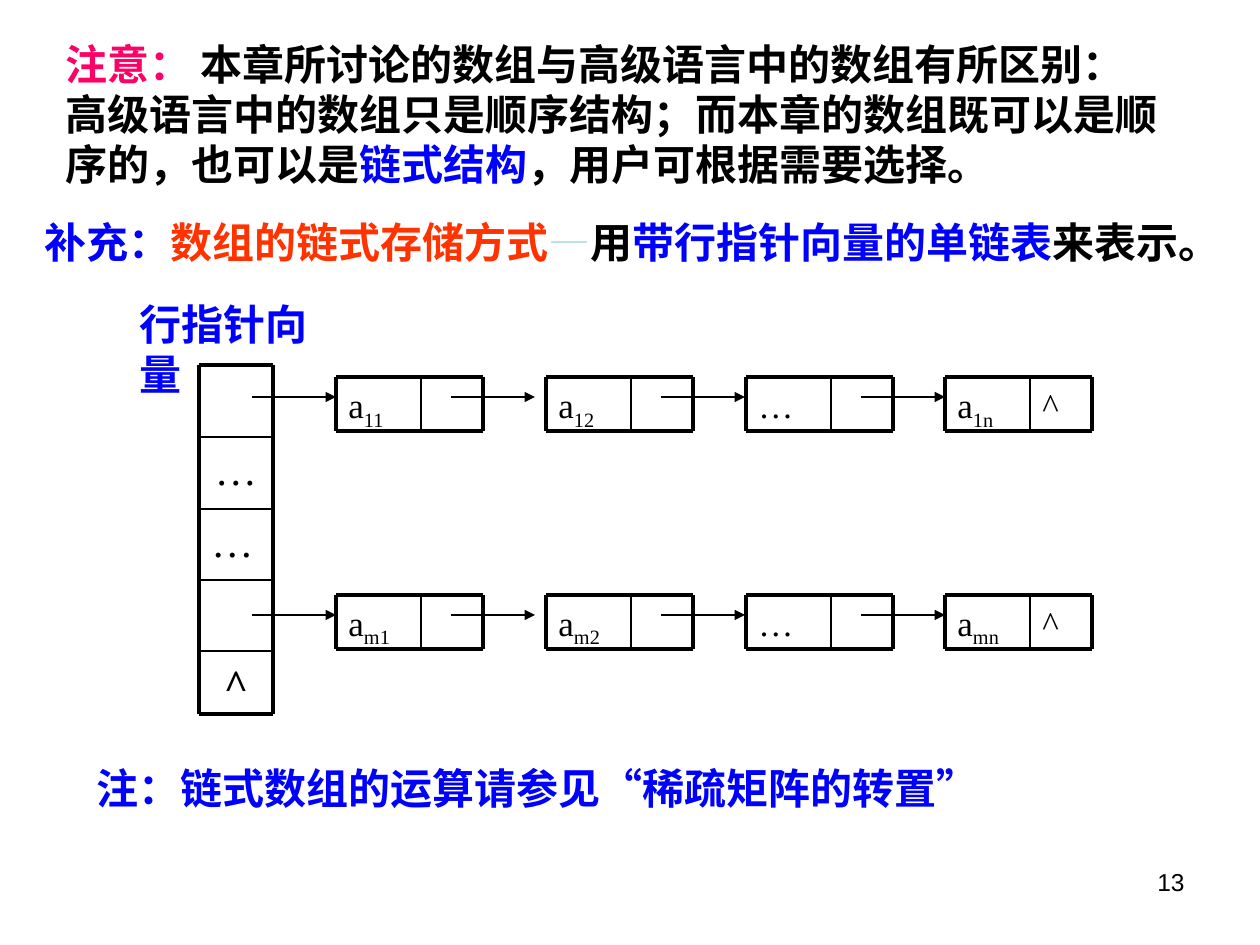
"""Build the slide on arrays stored as linked rows under a vector of row pointers."""
from dataclasses import dataclass
from itertools import pairwise

from lxml.etree import SubElement as Sub
from pptx import Presentation as Deck
from pptx.dml.color import RGBColor as Rgb
from pptx.enum.shapes import MSO_CONNECTOR as Conn
from pptx.enum.text import MSO_AUTO_SIZE as Fit, PP_ALIGN as Align
from pptx.oxml.ns import qn
from pptx.util import Emu, Pt


@dataclass
class Theme:
    ink: str = "000000"
    blue: str = "0000FF"
    pink: str = "FF0066"
    red: str = "FF3300"
    pale: str = "BBE0E3"
    serif: str = "Times New Roman"
    sans: str = "Arial"
    head: int = 24
    cell: int = 20
    page: int = 14
    thick: float = 2.25
    thin: float = 1
    link: float = 0.75


look = Theme()
scale = 914400 / 126

deck = Deck()
deck.slide_width, deck.slide_height = Emu(round(1260 * scale)), Emu(round(945 * scale))
slide = deck.slides.add_slide(deck.slide_layouts[6])


def write(area, lines, size, font=look.serif, bold=False, align=Align.LEFT, wrap=True, grow=False):
    box = slide.shapes.add_textbox(*(Emu(round(v * scale)) for v in area))
    frame = box.text_frame
    frame.word_wrap = wrap
    frame.auto_size = Fit.SHAPE_TO_FIT_TEXT if grow else Fit.NONE
    for i, line in enumerate(lines):
        para = frame.add_paragraph() if i else frame.paragraphs[0]
        para.alignment = align
        for text, tint, *base in line:
            run = para.add_run()
            run.text = text
            run.font.size = Pt(size)
            run.font.name = font
            run.font.bold = bold
            run.font.color.rgb = Rgb.from_string(tint)
            if base:
                run.font._element.set("baseline", str(base[0]))


def draw(x1, y1, x2, y2, width, arrow=False):
    ends = (Emu(round(v * scale)) for v in (x1, y1, x2, y2))
    line = slide.shapes.add_connector(Conn.STRAIGHT, *ends)
    line.line.width = Pt(width)
    line.line.color.rgb = Rgb.from_string(look.ink)
    if arrow:
        Sub(line.line._get_or_add_ln(), qn("a:tailEnd"), type="triangle")
    Sub(line._element.spPr, qn("a:effectLst"))


# vector = left, right and the heights of its rules
left, right = 199, 273
rungs = [365, 437, 509, 580, 651, 714]
marks = ["", "…", "…", "", "^"]
for (top, low), mark in zip(pairwise(rungs), marks):
    if mark:
        side = Align.LEFT if top == rungs[2] else Align.CENTER
        write((left, top, right - left, low - top), [[(mark, look.ink)]],
              look.head, bold=mark == "^", align=side)
for y in rungs:
    draw(left, y, right, y, look.thick if y in (rungs[0], rungs[-1]) else look.thin)
for x in (left, right):
    draw(x, rungs[0], x, rungs[-1], look.thick)
write((127, 292, 234, 63), [[("行指针向量", look.blue)]], look.head,
      bold=True, wrap=False, grow=True)

wide, split, high = 147, 85, 54
reach, drop = 84, 20
nodes = [336, 546, 746, 945]
for top, row in ((377, "1"), (595, "m")):
    low = top + high
    draw(252, top + drop, 252 + reach, top + drop, look.link, arrow=True)
    for x, col in zip(nodes, ("1", "2", "", "n")):
        name = [("a", look.ink), (row + col, look.ink, -25000)] if col else [("…", look.ink)]
        write((x, top, split, high), [name], look.cell)
        for y in (top, low):
            draw(x, y, x + wide, y, look.thick)
        for step, width in ((0, look.thick), (split, look.thin), (wide, look.thick)):
            draw(x + step, top, x + step, low, width)
        if x == nodes[-1]:
            write((x + split, top, wide - split, high), [[("^", look.ink)]], look.cell)
        else:
            start = x + 115
            draw(start, top + drop, start + reach, top + drop, look.link, arrow=True)

write((32, 210, 1197, 63), [[
    ("补充：", look.blue), ("数组的链式存储方式", look.red), ("—", look.pale),
    ("用", look.ink), ("带行指针向量的单链表", look.blue), ("来表示。", look.ink),
]], look.head, bold=True, grow=True)
write((84, 756, 914, 63), [[("注：链式数组的运算请参见“稀疏矩阵的转置”", look.blue)]],
      look.head, bold=True, grow=True)
write((53, 32, 1144, 164), [
    [("注意：", look.pink), (" 本章所讨论的数组与高级语言中的数组有所区别：", look.ink)],
    [("高级语言中的数组只是顺序结构；而本章的数组既可以是顺序的，也可以是", look.ink),
     ("链式结构", look.blue), ("，用户可根据需要选择。", look.ink)],
], look.head, font=look.sans, bold=True, grow=True)
write((903, 861, 294, 66), [[("13", look.ink)]], look.page, font=look.sans, align=Align.RIGHT)

deck.save("out.pptx")
